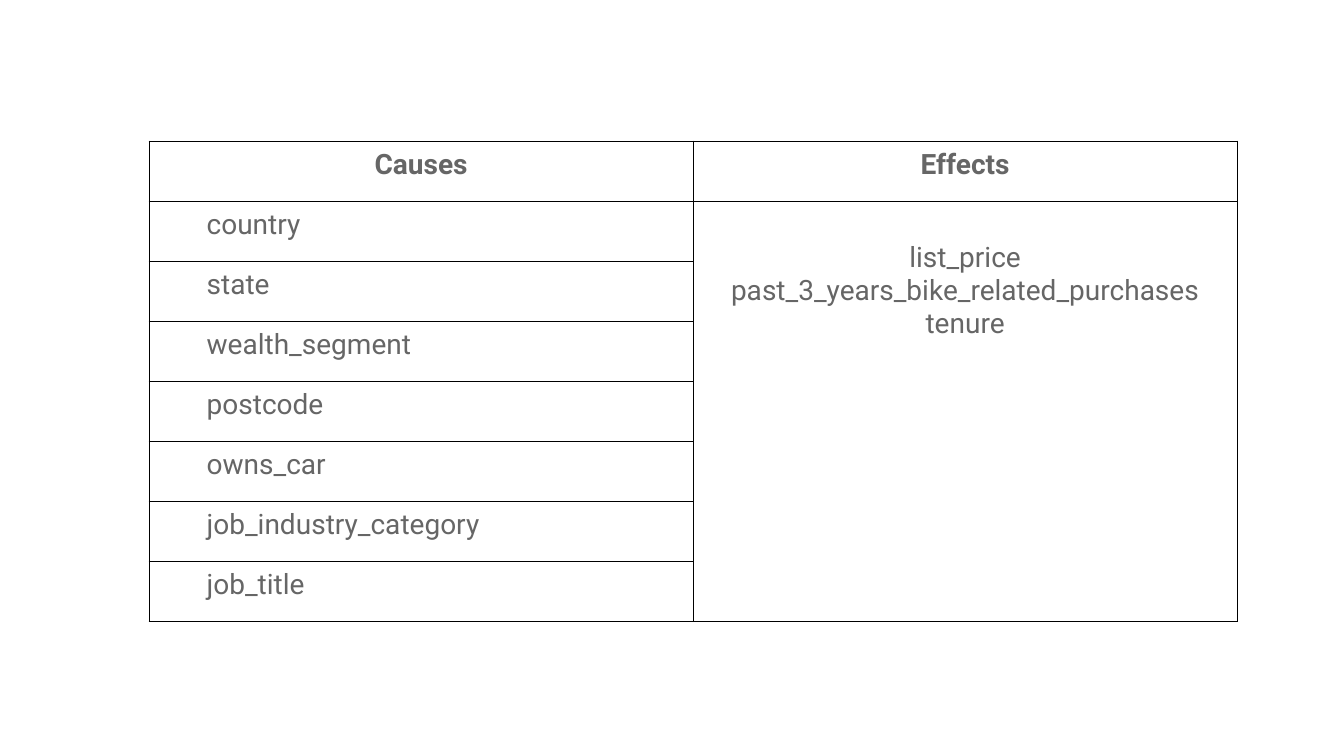
import pptx
import pptx.dml.color
import pptx.enum.text
import pptx.oxml.ns
import pptx.util
from dataclasses import dataclass
from lxml import etree

Inches = pptx.util.Inches


@dataclass(frozen=True)
class Theme:
    font: str = "Roboto"
    text_size: int = 20
    text_color: str = "666666"
    border_color: str = "000000"
    border_width: int = 1
    background: str = "FFFFFF"
    padding: float = 0.07
    cause_indent: float = 0.5
    effects_drop: float = 0.33


THEME = Theme()
HEADERS = ("Causes", "Effects")
CAUSES = ("country", "state", "wealth_segment", "postcode", "owns_car",
          "job_industry_category", "job_title")
EFFECTS = ("list_price", "past_3_years_bike_related_purchases", "tenure")


def add_borders(cell):
    properties = cell._tc.get_or_add_tcPr()
    # Border lines come before the fill in the cell properties
    for position, side in enumerate(("lnL", "lnR", "lnT", "lnB")):
        line = etree.Element(pptx.oxml.ns.qn(f"a:{side}"),
                             w=str(pptx.util.Pt(THEME.border_width)))
        fill = etree.SubElement(line, pptx.oxml.ns.qn("a:solidFill"))
        etree.SubElement(fill, pptx.oxml.ns.qn("a:srgbClr"),
                         val=THEME.border_color)
        properties.insert(position, line)


def write_cell(cell, text, centered=False, bold=False, indent=0, drop=0):
    cell.margin_left = Inches(THEME.padding + indent)
    cell.margin_top = Inches(THEME.padding + drop)
    cell.margin_right = cell.margin_bottom = Inches(THEME.padding)
    cell.vertical_anchor = pptx.enum.text.MSO_ANCHOR.TOP
    cell.text_frame.text = text
    alignment = pptx.enum.text.PP_ALIGN
    for paragraph in cell.text_frame.paragraphs:
        paragraph.alignment = alignment.CENTER if centered else alignment.LEFT
        for run in paragraph.runs:
            run.font.name = THEME.font
            run.font.size = pptx.util.Pt(THEME.text_size)
            run.font.bold = bold
            run.font.color.rgb = pptx.dml.color.RGBColor.from_string(THEME.text_color)


def add_cause_effect_table(slide, left, top, width, height):
    row_count = len(CAUSES) + 1
    frame = slide.shapes.add_table(row_count, len(HEADERS), Inches(left),
                                   Inches(top), Inches(width), Inches(height))
    table = frame.table
    table.first_row = False
    table.horz_banding = False
    for cell in table.iter_cells():
        cell.fill.background()
        add_borders(cell)

    # Header row
    for column, header in enumerate(HEADERS):
        write_cell(table.cell(0, column), header, centered=True, bold=True)

    # One row per cause
    for row, cause in enumerate(CAUSES, start=1):
        write_cell(table.cell(row, 0), cause, indent=THEME.cause_indent)

    # Effects share one cell beside all the causes
    effects_cell = table.cell(1, 1)
    effects_cell.merge(table.cell(row_count - 1, 1))
    write_cell(effects_cell, "\n".join(EFFECTS), centered=True,
               drop=THEME.effects_drop)


def main():
    presentation = pptx.Presentation()
    presentation.slide_width = Inches(13.33)
    presentation.slide_height = Inches(7.5)
    slide = presentation.slides.add_slide(presentation.slide_layouts[6])
    slide.background.fill.solid()
    slide.background.fill.fore_color.rgb = pptx.dml.color.RGBColor.from_string(
        THEME.background)
    add_cause_effect_table(slide, left=1.48, top=1.4, width=10.79, height=4.77)
    presentation.save("out.pptx")


if __name__ == "__main__":
    main()
